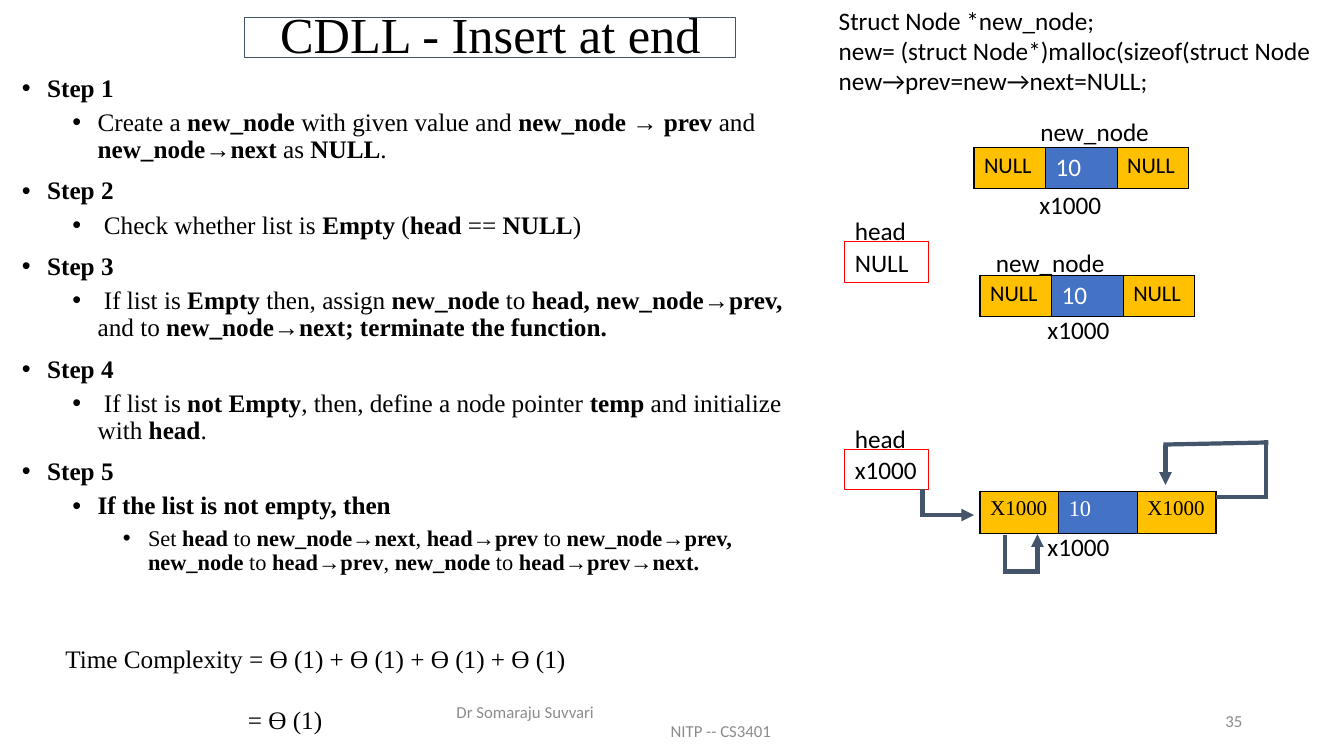
from dataclasses import dataclass
from itertools import pairwise

from lxml.etree import SubElement
from pptx import Presentation
from pptx.dml.color import RGBColor
from pptx.enum.shapes import MSO_CONNECTOR, MSO_SHAPE
from pptx.enum.text import MSO_ANCHOR, PP_ALIGN
from pptx.oxml.ns import qn
from pptx.util import Inches, Pt


@dataclass(frozen=True)
class Theme:
    ink: str = "000000"
    white: str = "FFFFFF"
    slate: str = "44546A"
    red: str = "FF0000"
    gold: str = "FFC000"
    blue: str = "4472C4"
    grey: str = "8C8C8C"
    serif: str = "Times New Roman"
    sans: str = "Calibri"
    title: float = 36
    text: float = 18
    detail: float = 16
    pointer: float = 15
    footer: float = 12


theme = Theme()


def write(paragraph, text, size=theme.text, font=theme.sans, color=theme.ink, bold=False):
    run = paragraph.add_run()
    run.text = text
    run.font.size = Pt(size)
    run.font.name = font
    run.font.bold = bold
    run.font.color.rgb = RGBColor.from_string(color)


def add_box(at, lines, outline=None, anchor=MSO_ANCHOR.TOP, align=PP_ALIGN.LEFT, **style):
    at = [Inches(length) for length in at]
    if outline:
        box = slide.shapes.add_shape(MSO_SHAPE.RECTANGLE, *at)
        box.shadow.inherit = False
        box.fill.background()
        box.line.color.rgb = RGBColor.from_string(outline)
        box.line.width = Pt(0.75)
    else:
        box = slide.shapes.add_textbox(*at)
    frame = box.text_frame
    frame.word_wrap = True
    frame.vertical_anchor = anchor
    for i, line in enumerate(lines):
        paragraph = frame.add_paragraph() if i else frame.paragraphs[0]
        paragraph.alignment = align
        write(paragraph, line, **style)
    return frame


deck = Presentation()
deck.slide_width = Inches(13.33)
deck.slide_height = Inches(7.5)
slide = deck.slides.add_slide(deck.slide_layouts[6])

# Title
title = add_box((2.43, 0.17, 4.87, 0.4), ["CDLL - Insert at end"], theme.slate,
                MSO_ANCHOR.MIDDLE, PP_ALIGN.CENTER, size=theme.title, font=theme.serif)
title.paragraphs[0].line_spacing = 0.9

# Algorithm steps: (level, text), with bold parts between asterisks
steps = [
    (0, "*Step 1*"),
    (1, "Create a *new_node* with given value and *new_node → prev* and "
        "*new_node→next *as *NULL*."),
    (0, "*Step 2*"),
    (1, " Check whether list is *Empty* (*head* == *NULL*)"),
    (0, "*Step 3*"),
    (1, " If list is *Empty* then, assign *new_node* to *head, new_node→prev, *"
        "and to *new_node→next; terminate the function.*"),
    (0, "*Step 4*"),
    (1, " If list is *not Empty*, then, define a node pointer *temp* and initialize "
        "with *head*."),
    (0, "*Step 5*"),
    (1, "*If the list is not empty, then*"),
    (2, "Set *head* to *new_node→next*, *head→prev* to *new_node→prev, new_node *"
        "to *head→prev*, *new_node *to *head→prev→next.*"),
]
algorithm = add_box((0.12, 0.7, 8, 5.25), [])
for i, (level, text) in enumerate(steps):
    step = algorithm.add_paragraph() if i else algorithm.paragraphs[0]
    step.level = level
    step.line_spacing = 0.9
    step.space_before = Pt(5 if level else 10)
    properties = step._p.get_or_add_pPr()
    properties.set("marL", str(Inches(0.25 + 0.5 * level)))
    properties.set("indent", str(Inches(-0.25)))
    SubElement(properties, qn("a:buFont"), typeface="Arial")
    SubElement(properties, qn("a:buChar"), char="•")
    for part, words in enumerate(text.split("*")):
        if words:
            write(step, words, theme.detail if level == 2 else theme.text,
                  theme.serif, bold=part % 2 == 1)

# Time complexity
complexity = add_box((0.55, 6.33, 6.11, 1.05),
                     ["Time Complexity = Ɵ (1) + Ɵ (1) + Ɵ (1) + Ɵ (1)", "= Ɵ (1)"],
                     font=theme.serif)
result = complexity.paragraphs[1]
result.space_before = Pt(22)
result._p.get_or_add_pPr().set("marL", str(Inches(1.81)))

# Node allocation code
add_box((8.22, 0, 5.08, 1.01), ["Struct Node *new_node;",
                                "new= (struct Node*)malloc(sizeof(struct Node",
                                "new→prev=new→next=NULL;"])

# Nodes: left, top, cell width, link text, font, link size, value size
nodes = [
    (9.66, 1.46, 0.71, "NULL", theme.sans, theme.detail, theme.text),
    (9.72, 2.73, 0.71, "NULL", theme.sans, theme.detail, theme.text),
    (9.72, 4.88, 0.78, "X1000", theme.serif, theme.pointer, theme.detail),
]
for left, top, width, link, font, link_size, value_size in nodes:
    node = slide.shapes.add_table(1, 3, Inches(left), Inches(top),
                                  Inches(3 * width), Inches(0.41)).table
    node.first_row = False
    node.horz_banding = False
    fields = [
        (link, link_size, theme.ink, theme.gold),
        ("10", value_size, theme.white, theme.blue),
        (link, link_size, theme.ink, theme.gold),
    ]
    for column, (text, size, color, fill) in enumerate(fields):
        node.columns[column].width = Inches(width)
        field = node.cell(0, column)
        write(field.text_frame.paragraphs[0], text, size, font, color)
        for side in ("lnL", "lnR", "lnT", "lnB"):
            border = SubElement(field._tc.get_or_add_tcPr(), qn(f"a:{side}"), w=str(Pt(1)))
            SubElement(SubElement(border, qn("a:solidFill")), qn("a:srgbClr"), val=theme.ink)
        field.fill.solid()
        field.fill.fore_color.rgb = RGBColor.from_string(fill)

# Node names and addresses
for left, top, width, label in [
    (10.22, 1.11, 1.43, "new_node"),
    (9.78, 2.4, 1.4, "new_node"),
    (10.21, 1.83, 0.9, "x1000"),
    (10.29, 3.07, 0.9, "x1000"),
    (10.29, 5.22, 0.9, "x1000"),
]:
    add_box((left, top, width, 0.4), [label])

# Head pointers
for top, value in [(2.4, "NULL"), (4.46, "x1000")]:
    add_box((8.38, top, 0.83, 0.4), [value], theme.red)
    add_box((8.38, top - 0.31, 0.83, 0.4), ["head"])

# Link arrows: corner points, with the arrowhead on the last stretch
links = [
    [(9.15, 4.87), (9.15, 5.11), (9.66, 5.11)],
    [(12.08, 4.93), (12.56, 4.93), (12.56, 4.39), (11.56, 4.41), (11.56, 4.81)],
    [(9.97, 5.33), (9.97, 5.67), (10.29, 5.67), (10.29, 5.3)],
]
for corners in links:
    for start, end in pairwise(corners):
        stretch = slide.shapes.add_connector(
            MSO_CONNECTOR.STRAIGHT, *[Inches(length) for length in start + end])
        stretch.line.color.rgb = RGBColor.from_string(theme.slate)
        stretch.line.width = Pt(3)
        outline = stretch.line._get_or_add_ln()
        if end == corners[-1]:
            SubElement(outline, qn("a:tailEnd"), type="triangle")
        else:
            outline.set("cap", "sq")
        SubElement(stretch._element.spPr, qn("a:effectLst"))

# Footer
for left, top, width, text, align in [
    (4.21, 6.86, 2, "Dr Somaraju Suvvari", PP_ALIGN.CENTER),
    (6.15, 7.05, 2, "NITP -- CS3401", PP_ALIGN.CENTER),
    (9.42, 6.95, 3, "35", PP_ALIGN.RIGHT),
]:
    add_box((left, top, width, 0.4), [text], None, MSO_ANCHOR.MIDDLE, align,
            size=theme.footer, color=theme.grey)

deck.save("out.pptx")
